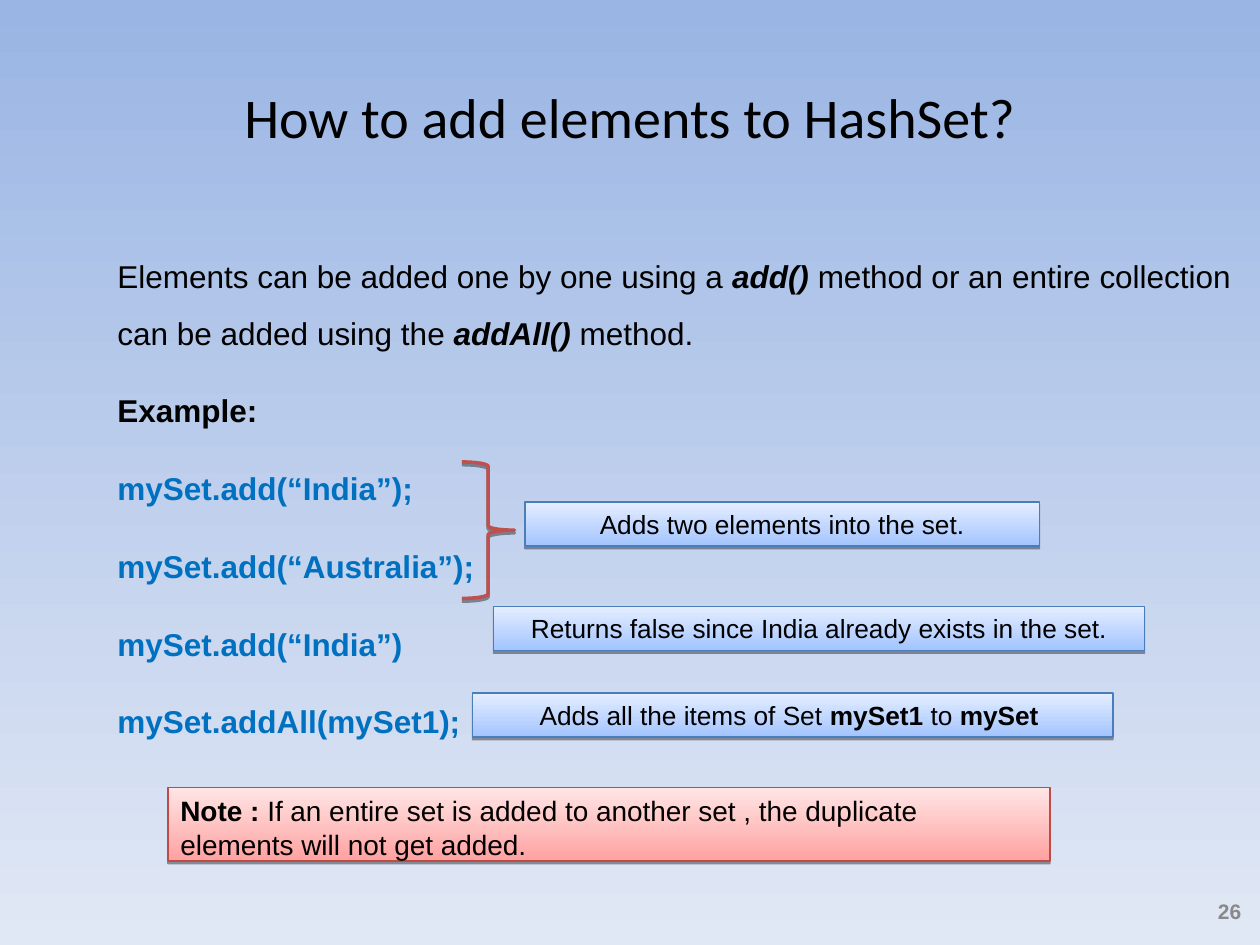
"""Build the slide on adding elements to a HashSet."""
from lxml.etree import SubElement
from pptx import Presentation
from pptx.dml.color import RGBColor
from pptx.enum.shapes import MSO_SHAPE as Shape
from pptx.enum.text import MSO_ANCHOR as Anchor, MSO_AUTO_SIZE as AutoSize, PP_ALIGN as Align
from pptx.oxml.ns import qn
from pptx.util import Inches, Pt

BLACK = RGBColor(0x00, 0x00, 0x00)
GREY = RGBColor(0x89, 0x89, 0x89)
CODE_BLUE = RGBColor(0x00, 0x70, 0xC0)
SKY = (RGBColor(0x9A, 0xB5, 0xE4), RGBColor(0xE1, 0xE8, 0xF5))
BLUE_FILL = (RGBColor(0xE5, 0xEE, 0xFF), RGBColor(0xA3, 0xC4, 0xFF))
BLUE_LINE = RGBColor(0x4A, 0x7E, 0xBB)
RED_FILL = (RGBColor(0xFF, 0xE5, 0xE5), RGBColor(0xFF, 0xA2, 0xA1))
RED_LINE = RGBColor(0xBE, 0x4B, 0x48)
BRACE_RED = RGBColor(0xC0, 0x50, 0x4D)
COLUMNS, ROWS = 120, 90


def write(paragraph, text, size=18, color=BLACK, font="Arial", align=Align.LEFT,
          bold=False, emphasis="b", indent=0, spacing=None, before=0):
    """Fill a paragraph; stretches between asterisks get the emphasis style."""
    paragraph.alignment = align
    paragraph.space_before = Pt(before)
    if spacing:
        paragraph.line_spacing = spacing
    if indent:
        properties = paragraph._p.get_or_add_pPr()
        properties.set("marL", str(Inches(indent)))
        properties.set("indent", "0")
    for index, part in enumerate(text.split("*")):
        if not part:
            continue
        run = paragraph.add_run()
        run.text = part
        stressed = index % 2 == 1
        run.font.name, run.font.size = font, Pt(size)
        run.font.color.rgb = color
        run.font.bold = bold or stressed
        run.font.italic = stressed and "i" in emphasis


def shade(fill, colors):
    """Apply a top-to-bottom gradient."""
    fill.gradient()
    fill.gradient_angle = 270
    for stop, color in zip(fill.gradient_stops, colors):
        stop.color.rgb = color


class SlideBuilder:
    """Places styled elements on a grid of columns and rows."""

    def __init__(self, deck):
        """Add a title-only slide with a gradient background."""
        self.column = deck.slide_width / COLUMNS
        self.row = deck.slide_height / ROWS
        self.slide = deck.slides.add_slide(deck.slide_layouts[5])
        shade(self.slide.background.fill, SKY)

    def area(self, left, top, width, height):
        """Turn grid units into slide lengths."""
        return (round(left * self.column), round(top * self.row),
                round(width * self.column), round(height * self.row))

    def title(self, text, *cells):
        """Place and fill the title."""
        title = self.slide.shapes.title
        title.left, title.top, title.width, title.height = self.area(*cells)
        title.text_frame.vertical_anchor = Anchor.MIDDLE
        write(title.text_frame.paragraphs[0], text, size=32, font="Calibri", align=Align.CENTER)

    def text(self, lines, *cells, anchor=Anchor.TOP):
        """Add a text box from pairs of text and format."""
        frame = self.slide.shapes.add_textbox(*self.area(*cells)).text_frame
        frame.word_wrap = True
        frame.vertical_anchor = anchor
        for index, (line, style) in enumerate(lines):
            paragraph = frame.add_paragraph() if index else frame.paragraphs[0]
            write(paragraph, line, **style)

    def outline(self, kind, cells, color, weight):
        """Add a preset shape with a coloured line and a drop shadow."""
        shape = self.slide.shapes.add_shape(kind, *self.area(*cells))
        shape.line.color.rgb = color
        shape.line.width = Pt(weight)
        shape.shadow.inherit = False
        effects = shape._element.spPr.find(qn("a:effectLst"))
        shadow = SubElement(effects, qn("a:outerShdw"), blurRad="0", dist=str(Pt(1.6)),
                            dir="5400000", rotWithShape="0")
        tone = SubElement(shadow, qn("a:srgbClr"), val=str(BLACK))
        SubElement(tone, qn("a:alpha"), val="38000")
        return shape

    def brace(self, *cells):
        """Add the brace that groups code lines."""
        self.outline(Shape.RIGHT_BRACE, cells, BRACE_RED, 2).fill.background()

    def callout(self, text, *cells, fill=BLUE_FILL, line=BLUE_LINE, grow=True, **style):
        """Add a gradient box with text."""
        box = self.outline(Shape.RECTANGLE, cells, line, 0.75)
        shade(box.fill, fill)
        frame = box.text_frame
        frame.word_wrap = True
        frame.vertical_anchor = Anchor.TOP
        frame.auto_size = AutoSize.SHAPE_TO_FIT_TEXT if grow else AutoSize.NONE
        write(frame.paragraphs[0], text, **style)


def main():
    """Compose and save the slide."""
    deck = Presentation()
    deck.slide_width, deck.slide_height = Inches(10), Inches(7.5)
    page = SlideBuilder(deck)
    page.title("How to add elements to HashSet?", 6, 3.6, 108, 15)
    page.text([("26", dict(size=12, color=GREY, bold=True, align=Align.RIGHT))],
              113.5, 84.7, 5.9, 4.2, anchor=Anchor.MIDDLE)

    body = dict(indent=0.75, spacing=1.5)
    later = dict(body, before=12, bold=True)
    calls = ["mySet.add(“India”);", "mySet.add(“Australia”);",
             "mySet.add(“India”)", "mySet.addAll(mySet1);"]
    intro = ("Elements can be added one by one using a *add() *method or an entire "
             "collection can be added using the *addAll() *method.")
    page.text([(intro, dict(body, emphasis="bi")), ("Example:", later)]
              + [(call, dict(later, color=CODE_BLUE)) for call in calls],
              1, 22.1, 118, 56.4)

    page.brace(44, 44, 5, 13)
    effects = [("Adds two elements into the set.", 50, 47.8, 49),
               ("Returns false since India already exists in the set.", 47, 57.75, 62),
               ("Adds all the items of Set *mySet1* to *mySet *", 45, 66, 61)]
    for effect, left, top, width in effects:
        page.callout(effect, left, top, width, 4.2, size=15, align=Align.CENTER)
    page.callout("*Note : *If an entire set is added to another set , the duplicate "
                 "elements will not get added.", 16, 75, 84, 7,
                 fill=RED_FILL, line=RED_LINE, grow=False, size=16)
    deck.save("out.pptx")


if __name__ == "__main__":
    main()
